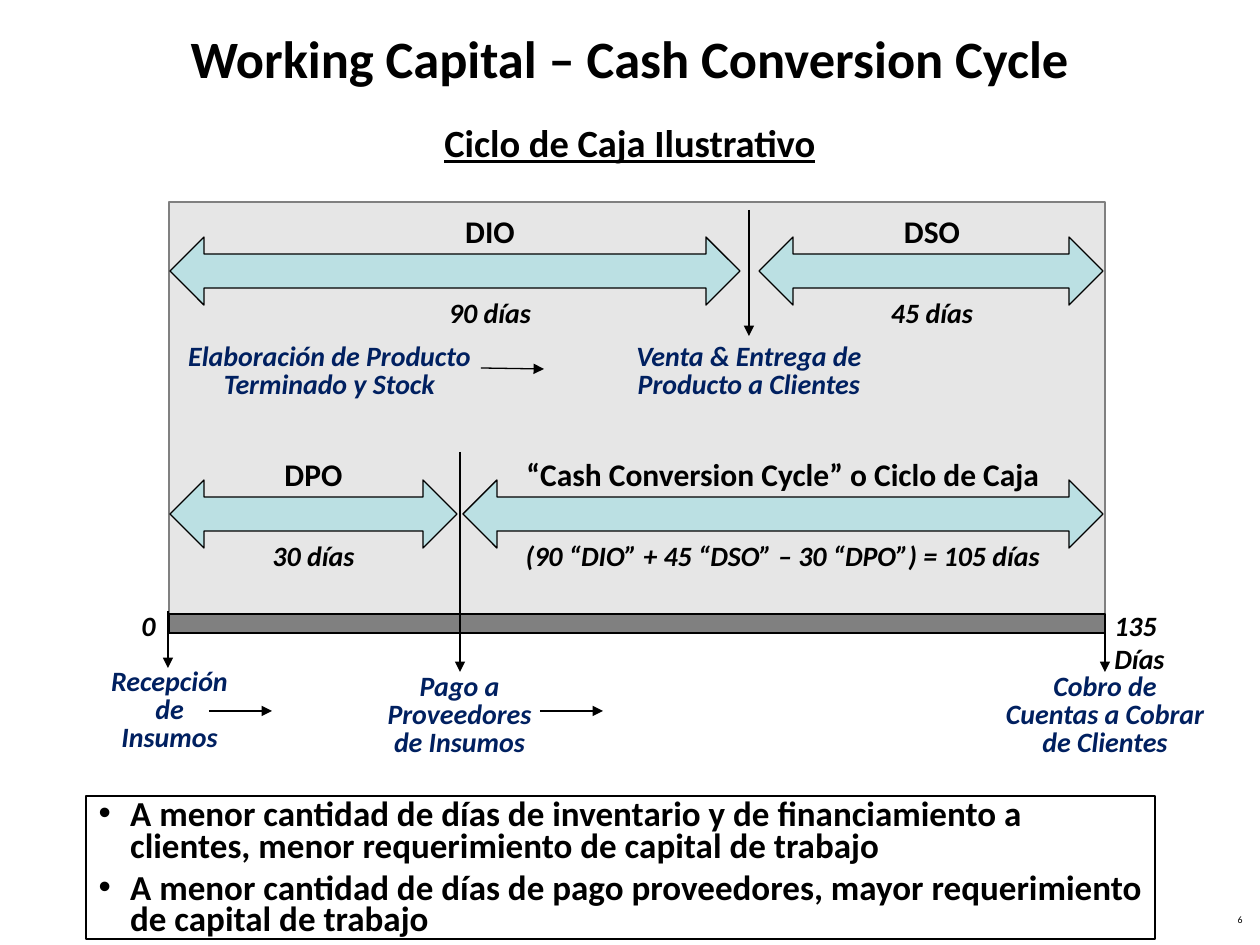
from dataclasses import dataclass

from lxml import etree
from pptx import Presentation
from pptx import util as u
from pptx.dml.color import RGBColor
from pptx.enum import shapes, text
from pptx.oxml.ns import qn

PX = 914400 / 126
BLACK, NAVY, GREY = "000000", "002060", "808080"
PANEL, TEAL = "E6E6E6", "BBE0E3"
CENTER, LEFT, RIGHT = text.PP_ALIGN.CENTER, text.PP_ALIGN.LEFT, text.PP_ALIGN.RIGHT


@dataclass(frozen=True)
class Box:
    left: int
    top: int
    width: int
    height: int

    def emu(self) -> list[int]:
        return [round(v * PX) for v in (self.left, self.top, self.width, self.height)]


@dataclass(frozen=True)
class Style:
    size: float
    color: str = BLACK
    bold: bool = True
    italic: bool = False
    underline: bool = False
    align: text.PP_ALIGN = CENTER
    spacing: object = None


@dataclass(frozen=True)
class Phase:
    """A span of days: a double arrow with its name above and its length below."""
    name: str
    days: str
    arrow: Box
    text_left: int
    text_width: int


@dataclass(frozen=True)
class Label:
    words: str
    box: Box


@dataclass(frozen=True)
class Arrow:
    x1: int
    y1: int
    x2: int
    y2: int


TITLE = Style(30)
SUBTITLE = Style(22, underline=True)
NAME = Style(18)
DAYS = Style(16, italic=True)
SCALE = Style(16, italic=True, align=LEFT)
EVENT = Style(16, NAVY, italic=True, spacing=u.Pt(16))
NOTE = Style(20, align=LEFT, spacing=u.Pt(18))
NUMBER = Style(5.6, bold=False, align=RIGHT, spacing=0.8)

PHASES = [
    Phase("DIO", "90 días", Box(170, 237, 570, 68), 205, 570),
    Phase("DSO", "45 días", Box(759, 237, 344, 68), 824, 216),
    Phase("DPO", "30 días", Box(170, 480, 287, 68), 207, 213),
    Phase("“Cash Conversion Cycle” o Ciclo de Caja",
          "(90 “DIO” + 45 “DSO” – 30 “DPO”) = 105 días",
          Box(463, 480, 640, 68), 499, 568),
]
EVENTS = [
    Label("Elaboración de Producto Terminado y Stock", Box(170, 338, 319, 69)),
    Label("Venta & Entrega de Producto a Clientes", Box(610, 338, 278, 69)),
    Label("Recepción\vde Insumos", Box(92, 663, 155, 97)),
    Label("Pago a Proveedores de Insumos", Box(365, 668, 189, 97)),
    Label("Cobro de\nCuentas a Cobrar de Clientes", Box(983, 668, 244, 97)),
]
ARROWS = [
    Arrow(168, 611, 168, 668), Arrow(460, 452, 460, 672),
    Arrow(1105, 614, 1105, 672), Arrow(749, 210, 749, 336),
    Arrow(209, 711, 272, 711), Arrow(540, 711, 603, 711),
    Arrow(481, 368, 544, 369),
]
NOTES = [
    "A menor cantidad de días de inventario y de financiamiento a clientes, "
    "menor requerimiento de capital de trabajo",
    "A menor cantidad de días de pago proveedores, "
    "mayor requerimiento de capital de trabajo",
]


def rgb(color: str) -> RGBColor:
    return RGBColor.from_string(color)


def outline(line, color: str = BLACK) -> None:
    line.color.rgb = rgb(color)
    line.width = u.Pt(0.75)


def write(frame, words: str, style: Style) -> None:
    frame.text = words
    for para in frame.paragraphs:
        para.alignment = style.align
        if style.spacing is not None:
            para.line_spacing = style.spacing
        for span in para.runs:
            font = span.font
            font.name, font.size = "Calibri", u.Pt(style.size)
            font.bold, font.italic = style.bold, style.italic
            font.underline = style.underline
            font.color.rgb = rgb(style.color)


def add_text(page, label: Label, style: Style, wrap: bool = True) -> None:
    frame = page.shapes.add_textbox(*label.box.emu()).text_frame
    frame.word_wrap = wrap
    write(frame, label.words, style)


def add_block(page, preset: shapes.MSO_SHAPE, box: Box, fill: str, line: str = BLACK) -> None:
    shape = page.shapes.add_shape(preset, *box.emu())
    shape.shadow.inherit = False
    shape.fill.solid()
    shape.fill.fore_color.rgb = rgb(fill)
    outline(shape.line, line)


def add_arrow(page, arrow: Arrow) -> None:
    ends = [round(v * PX) for v in (arrow.x1, arrow.y1, arrow.x2, arrow.y2)]
    connector = page.shapes.add_connector(shapes.MSO_CONNECTOR.STRAIGHT, *ends)
    outline(connector.line)
    etree.SubElement(connector.line._get_or_add_ln(), qn("a:tailEnd"), type="triangle")
    etree.SubElement(connector._element.spPr, qn("a:effectLst"))


def add_phase(page, phase: Phase) -> None:
    add_block(page, shapes.MSO_SHAPE.LEFT_RIGHT_ARROW, phase.arrow, TEAL)
    for words, style, offset in ((phase.name, NAME, -31), (phase.days, DAYS, 52)):
        box = Box(phase.text_left, phase.arrow.top + offset, phase.text_width, 48)
        add_text(page, Label(words, box), style)


def place(placeholder, box: Box) -> None:
    placeholder.left, placeholder.top, placeholder.width, placeholder.height = box.emu()
    placeholder.text_frame.auto_size = text.MSO_AUTO_SIZE.NONE


def fill_notes(body) -> None:
    place(body, Box(86, 796, 1069, 143))
    outline(body.line)
    body.text_frame.vertical_anchor = text.MSO_ANCHOR.TOP
    write(body.text_frame, "\n".join(NOTES), NOTE)
    for index, para in enumerate(body.text_frame.paragraphs):
        para.space_before = u.Pt(6 if index else 0)
        properties = para._p.get_or_add_pPr()
        properties.set("marL", str(u.Inches(0.25)))
        properties.set("indent", str(-u.Inches(0.25)))


def main() -> None:
    deck = Presentation()
    deck.slide_width, deck.slide_height = u.Inches(10), u.Inches(7.5)
    page = deck.slides.add_slide(deck.slide_layouts[1])
    title, body = page.placeholders
    place(title, Box(0, 0, 1260, 115))
    write(title.text_frame, "Working Capital – Cash Conversion Cycle", TITLE)
    fill_notes(body)
    add_text(page, Label("Ciclo de Caja Ilustrativo", Box(63, 113, 1134, 59)), SUBTITLE)

    add_block(page, shapes.MSO_SHAPE.RECTANGLE, Box(169, 202, 936, 431), PANEL, GREY)
    add_block(page, shapes.MSO_SHAPE.RECTANGLE, Box(169, 614, 936, 19), GREY)
    for phase in PHASES:
        add_phase(page, phase)
    for event in EVENTS:
        add_text(page, event, EVENT)
    for arrow in ARROWS:
        add_arrow(page, arrow)
    add_text(page, Label("0", Box(129, 602, 39, 47)), SCALE, wrap=False)
    add_text(page, Label("135 Días", Box(1102, 602, 123, 47)), SCALE, wrap=False)
    add_text(page, Label("6", Box(961, 910, 294, 26)), NUMBER)
    deck.save("out.pptx")


if __name__ == "__main__":
    main()
